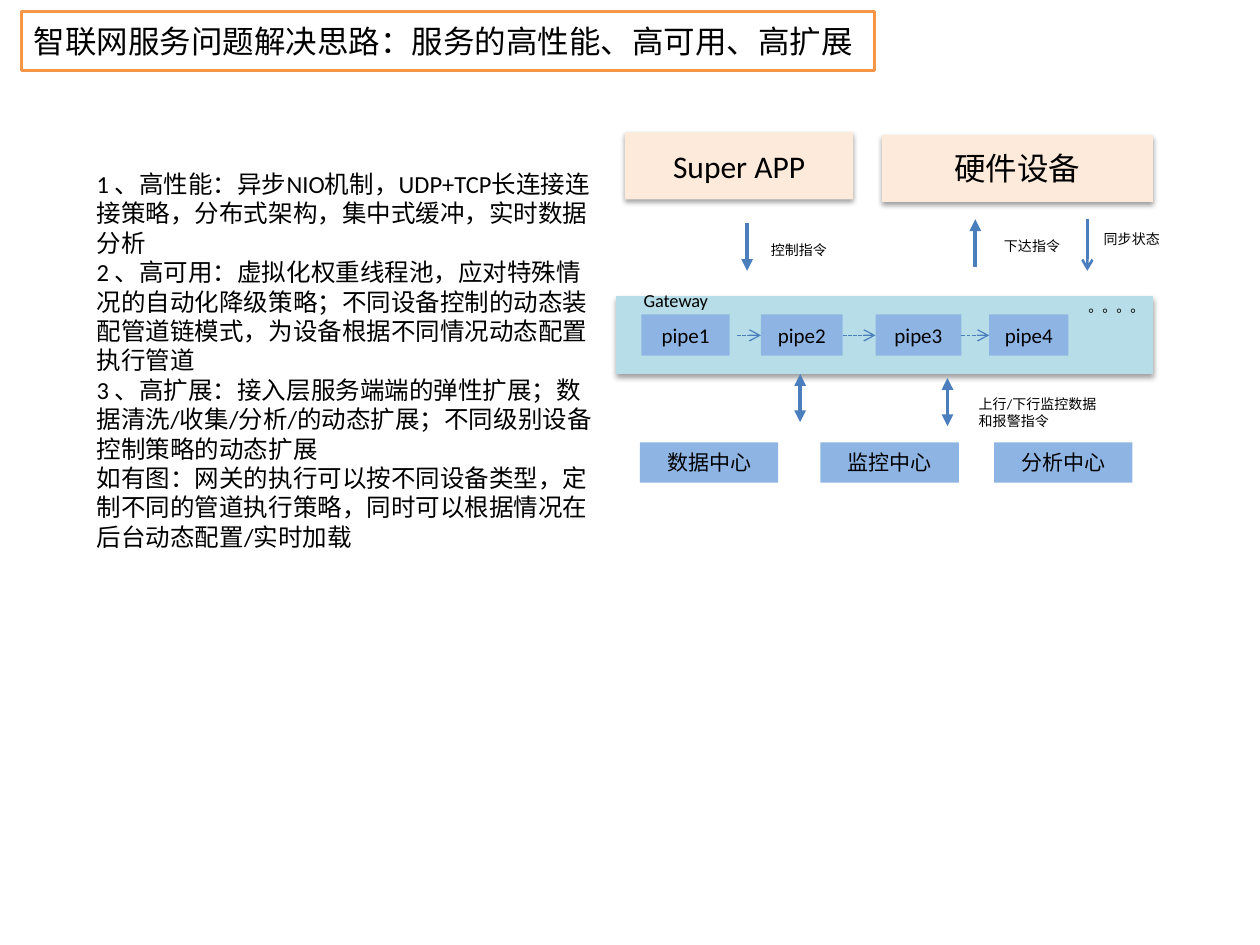
from lxml.etree import SubElement
from pptx import Presentation
from pptx.dml.color import RGBColor
from pptx.enum.dml import MSO_LINE
from pptx.enum.shapes import MSO_CONNECTOR, MSO_SHAPE
from pptx.enum.text import MSO_ANCHOR, PP_ALIGN
from pptx.oxml.ns import qn
from pptx.util import Cm, Pt

PEACH, AQUA, BLUE, LINE = "FDEADA", "B7DEE8", "8EB4E3", "4B7EBC"
BODY = [
    "1 、高性能：异步NIO机制，UDP+TCP长连接连接策略，分布式架构，集中式缓冲，实时数据分析",
    "2 、高可用：虚拟化权重线程池，应对特殊情况的自动化降级策略；不同设备控制的动态装配管道链模式，"
    "为设备根据不同情况动态配置执行管道\v"
    "3 、高扩展：接入层服务端端的弹性扩展；数据清洗/收集/分析/的动态扩展；不同级别设备控制策略的动态扩展",
    "如有图：网关的执行可以按不同设备类型，定制不同的管道执行策略，同时可以根据情况在后台动态配置/实时加载",
]
PIPES = [("pipe1", 12.93, 1.78), ("pipe2", 15.34, 1.65),
         ("pipe3", 17.65, 1.73), ("pipe4", 19.94, 1.6)]
LINK_STARTS = [14.86, 16.99, 19.38]
CENTERS = [("数据中心", 12.9), ("监控中心", 16.54), ("分析中心", 20.04)]
LABELS = [
    ("控制指令", 15.29, 4.75, 3.1, 0.61),
    ("上行/下行监控数据和报警指令", 19.48, 7.85, 3.1, 0.94),
    ("下达指令", 19.99, 4.67, 3.1, 0.61),
    ("同步状态", 22, 4.52, 1.7, 0.61),
    ("。。。。", 21.69, 5.89, 3.1, 0.61),
]


def color(value):
    return RGBColor.from_string(value)


def write(sp, lines, size, align=PP_ALIGN.LEFT, anchor=MSO_ANCHOR.TOP):
    tf = sp.text_frame
    tf.word_wrap = True
    tf.vertical_anchor = anchor
    for i, line in enumerate(lines):
        p = tf.add_paragraph() if i else tf.paragraphs[0]
        p.text = line
        p.alignment = align
        for r in p.runs:
            r.font.size = Pt(size)
            r.font.name = "Calibri"
            r.font.color.rgb = color("000000")


def add_text(s, lines, left, top, width, height, size, **layout):
    sp = s.shapes.add_textbox(Cm(left), Cm(top), Cm(width), Cm(height))
    write(sp, lines, size, **layout)


def add_box(s, text, left, top, width, height, fill, size=12,
            align=PP_ALIGN.CENTER, border=None):
    sp = s.shapes.add_shape(MSO_SHAPE.RECTANGLE, Cm(left), Cm(top), Cm(width), Cm(height))
    sp.shadow.inherit = False
    sp.fill.solid()
    sp.fill.fore_color.rgb = color(fill)
    if border:
        sp.line.color.rgb = color(border)
        sp.line.width = Pt(2)
    else:
        sp.line.fill.background()
    if text:
        write(sp, [text], size, align, MSO_ANCHOR.MIDDLE)
    return sp


def add_shadow(sp):
    effects = sp._element.spPr.find(qn("a:effectLst"))
    shadow = SubElement(effects, qn("a:outerShdw"), blurRad="40000", dist="20000",
                        dir="5400000", rotWithShape="0")
    black = SubElement(shadow, qn("a:srgbClr"), val="000000")
    SubElement(black, qn("a:alpha"), val="38000")


def add_arrow(s, x1, y1, x2, y2, width=2.25, head=None, tail=None, dashed=False):
    c = s.shapes.add_connector(MSO_CONNECTOR.STRAIGHT, Cm(x1), Cm(y1), Cm(x2), Cm(y2))
    c.line.color.rgb = color(LINE)
    c.line.width = Pt(width)
    if dashed:
        c.line.dash_style = MSO_LINE.SQUARE_DOT
    ln = c.line._get_or_add_ln()
    for tag, kind in (("a:headEnd", head), ("a:tailEnd", tail)):
        if kind:
            SubElement(ln, qn(tag), type=kind)
    SubElement(c._element.spPr, qn("a:effectLst"))


def add_gateway(s):
    add_shadow(add_box(s, "", 12.42, 5.97, 10.82, 1.57, AQUA))
    add_text(s, ["Gateway"], 12.14, 5.74, 2.97, 0.61, 10.5,
             align=PP_ALIGN.CENTER, anchor=MSO_ANCHOR.MIDDLE)
    for name, left, width in PIPES:
        add_box(s, name, left, 6.34, width, 0.83, BLUE)
    for start, (_, end, _) in zip(LINK_STARTS, PIPES[1:]):
        add_arrow(s, start, 6.76, end, 6.76, 0.75, tail="arrow", dashed=True)


def main():
    prs = Presentation()
    prs.slide_width, prs.slide_height = Cm(25.4), Cm(19.05)
    s = prs.slides.add_slide(prs.slide_layouts[6])

    add_box(s, "智联网服务问题解决思路：服务的高性能、高可用、高扩展", 0.43, 0.23, 17.2, 1.19,
            "FFFFFF", 18, PP_ALIGN.LEFT, "F79646")
    add_text(s, BODY, 1.7, 3.28, 10.6, 8.03, 14)
    add_shadow(add_box(s, "Super APP", 12.6, 2.67, 4.6, 1.35, PEACH, 18))
    add_shadow(add_box(s, "硬件设备", 17.78, 2.72, 5.46, 1.35, PEACH, 18))
    add_gateway(s)
    for name, left in CENTERS:
        add_box(s, name, left, 8.92, 2.79, 0.81, BLUE)

    add_arrow(s, 15.06, 4.5, 15.06, 5.46, tail="triangle")
    add_arrow(s, 19.66, 4.42, 19.66, 5.38, head="triangle")
    add_arrow(s, 21.92, 4.42, 21.92, 5.46, 1.5, tail="arrow")
    for x, top in ((16.13, 7.54), (19.1, 7.62)):
        add_arrow(s, x, top, x, top + 0.97, head="triangle", tail="triangle")
    for text, *place in LABELS:
        add_text(s, [text], *place, 8)

    prs.save("out.pptx")


if __name__ == "__main__":
    main()
